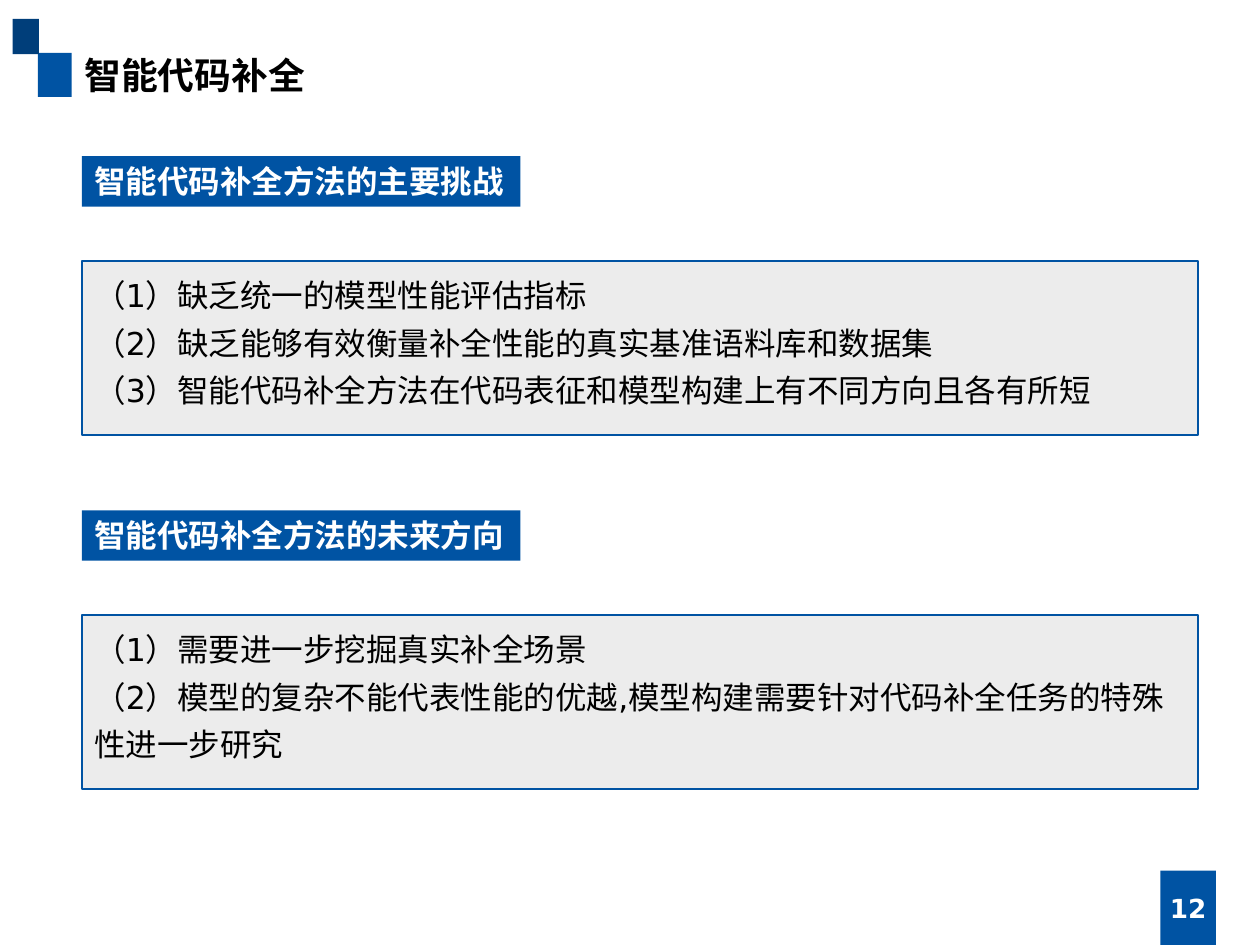
from lxml import etree
from pptx import Presentation
from pptx.dml.color import RGBColor
from pptx.enum.shapes import MSO_SHAPE
from pptx.enum.text import MSO_ANCHOR, PP_ALIGN
from pptx.oxml.ns import qn
from pptx.util import Inches, Pt

RECTANGLE = MSO_SHAPE.RECTANGLE
TOP, MIDDLE = MSO_ANCHOR.TOP, MSO_ANCHOR.MIDDLE
LEFT, CENTER = PP_ALIGN.LEFT, PP_ALIGN.CENTER
BLUE, NAVY, GRAY = "0053A3", "003E7A", "ECECEC"
BLACK, WHITE = "000000", "FFFFFF"
LATIN_FONT, CHINESE_FONT = "DejaVu Sans", "Noto Sans CJK SC"
TITLE_LAYOUT = 5

SECTIONS = [
    (1.24, "智能代码补全方法的主要挑战", [
        "（1）缺乏统一的模型性能评估指标",
        "（2）缺乏能够有效衡量补全性能的真实基准语料库和数据集",
        "（3）智能代码补全方法在代码表征和模型构建上有不同方向且各有所短",
    ]),
    (4.05, "智能代码补全方法的未来方向", [
        "（1）需要进一步挖掘真实补全场景",
        "（2）模型的复杂不能代表性能的优越,模型构建需要针对代码补全任务的特殊性进一步研究",
    ]),
]


def color(hex_value):
    """Turn a hex string into a colour."""
    return RGBColor.from_string(hex_value)


def add_block(shapes, box, fill, line=None):
    """Draw a flat rectangle in the given box."""
    block = shapes.add_shape(RECTANGLE, *map(Inches, box))
    block.shadow.inherit = False
    block.fill.solid()
    block.fill.fore_color.rgb = color(fill)
    if line:
        block.line.color.rgb = color(line)
        block.line.width = Pt(1)
    else:
        block.line.fill.background()
    return block


def write_text(shape, lines, size, text_color=BLACK, bold=False, font=LATIN_FONT,
               align=LEFT, anchor=TOP, wrap=True, spacing=1.0):
    """Fill a shape with formatted paragraphs."""
    frame = shape.text_frame
    frame.text = "\n".join(lines)
    frame.word_wrap = wrap
    frame.vertical_anchor = anchor
    font_values = {"size": Pt(size), "bold": bold, "name": font}
    for para in frame.paragraphs:
        para.alignment = align
        para.line_spacing = spacing
        for span in para.runs:
            for name, value in font_values.items():
                setattr(span.font, name, value)
            span.font.color.rgb = color(text_color)
            latin = span.font._element.find(qn("a:latin"))
            east_asian = etree.Element(qn("a:ea"), typeface=CHINESE_FONT)
            latin.addnext(east_asian)


def add_header(page, left, top, title):
    """Place the two corner squares and the title."""
    add_block(page.shapes, (left + 0.2, top + 0.27, 0.27, 0.35), BLUE)
    add_block(page.shapes, (left, top, 0.21, 0.28), NAVY)
    heading = page.shapes.title
    place = {"left": left + 0.47, "top": top + 0.22, "width": 5.71, "height": 0.45}
    for name, value in place.items():
        setattr(heading, name, Inches(value))
    write_text(heading, [title], 21, bold=True, font=CHINESE_FONT, anchor=MIDDLE)


def add_page_number(page, left, top, number):
    """Place the page number on its blue tab."""
    add_block(page.shapes, (left, top, 0.44, 0.59), BLUE)
    label = page.shapes.add_textbox(
        *map(Inches, (left - 0.35, top + 0.1, 1.14, 0.4)))
    write_text(label, [number], 15, WHITE, bold=True, align=CENTER, anchor=MIDDLE)


def add_section(page, left, top, heading, points):
    """Place a blue heading with its panel of points below."""
    panel = page.shapes.add_group_shape()
    panel_box = (left, top + 0.83, 8.86, 1.38)
    add_block(panel.shapes, panel_box, GRAY, BLUE)
    body = panel.shapes.add_textbox(*map(Inches, panel_box))
    write_text(body, points, 18, spacing=1.25)
    label = add_block(page.shapes, (left, top, 3.48, 0.4), BLUE)
    write_text(label, [heading], 18, WHITE, bold=True, wrap=False)


def build():
    """Build and save the slide."""
    deck = Presentation()
    deck.slide_width, deck.slide_height = Inches(10), Inches(7.5)
    page = deck.slides.add_slide(deck.slide_layouts[TITLE_LAYOUT])
    add_header(page, 0.1, 0.15, "智能代码补全")
    add_page_number(page, 9.21, 6.91, "12")
    for top, heading, points in SECTIONS:
        add_section(page, 0.65, top, heading, points)
    deck.save("out.pptx")


build()
